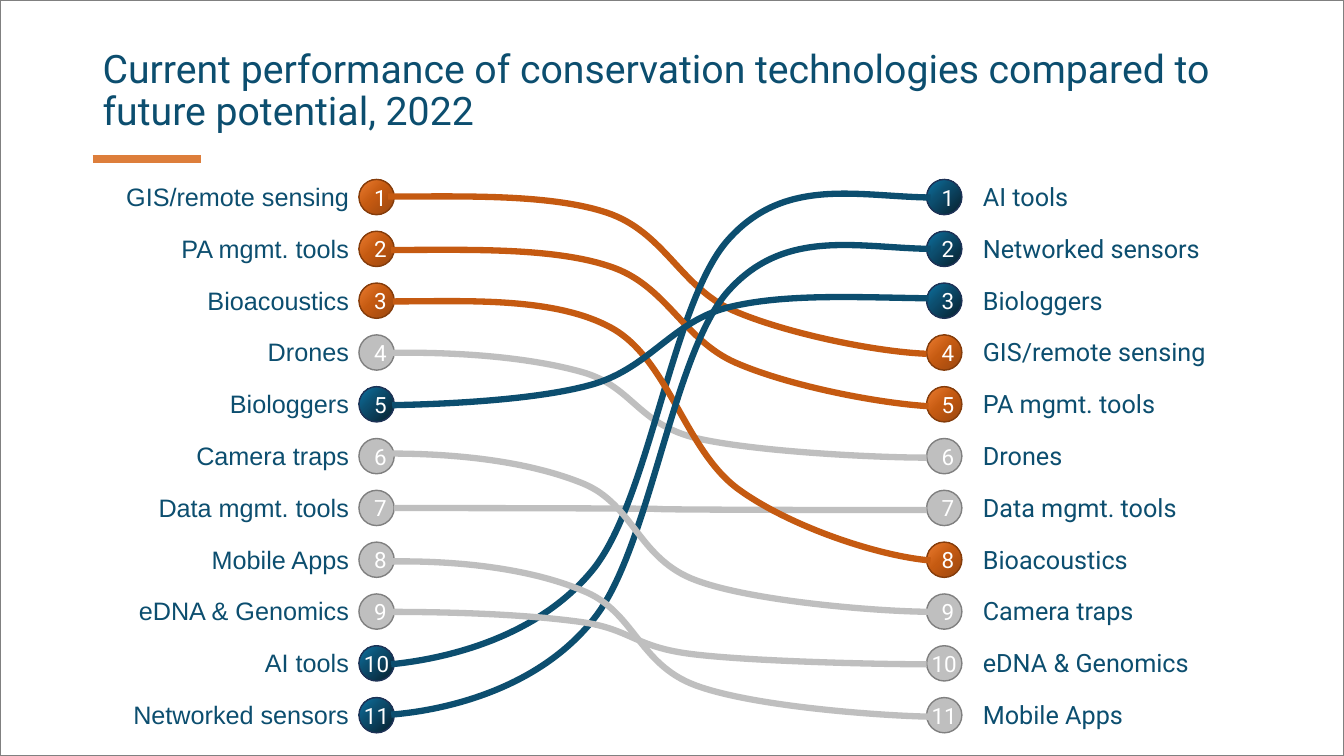
from lxml import etree
from pptx import Presentation
from pptx.dml.color import RGBColor
from pptx.enum import shapes, text
from pptx.oxml import ns, parse_xml
from pptx.util import Inches, Pt

NAVY = RGBColor(0x0C, 0x4E, 0x6F)
RUST = RGBColor(0xC5, 0x5A, 0x11)
SILVER = RGBColor(0xBF, 0xBF, 0xBF)
GREY = RGBColor(0x80, 0x80, 0x80)
ACCENT = RGBColor(0xDD, 0x7E, 0x3B)
WHITE = RGBColor(0xFF, 0xFF, 0xFF)
# Badge outline, and gradient stops (percent, colour) where the badge is shaded
BADGES = {
    NAVY: (RGBColor(0x1E, 0x32, 0x56), [(0, "0C74A3"), (40, "0C4E6F"), (100, "071F2C")]),
    RUST: (RGBColor(0x84, 0x3C, 0x0B), [(0, "ED7D31"), (46, "C55A11"), (100, "99460F")]),
    SILVER: (GREY, None),
}

TITLE = "Current performance of conservation technologies compared to future potential, 2022"
CURRENT = ["GIS/remote sensing", "PA mgmt. tools", "Bioacoustics", "Drones", "Biologgers",
           "Camera traps", "Data mgmt. tools", "Mobile Apps", "eDNA & Genomics",
           "AI tools", "Networked sensors"]
FUTURE = ["AI tools", "Networked sensors", "Biologgers", "GIS/remote sensing",
          "PA mgmt. tools", "Drones", "Data mgmt. tools", "Bioacoustics",
          "Camera traps", "eDNA & Genomics", "Mobile Apps"]
RISING = {"AI tools", "Networked sensors", "Biologgers"}
FALLING = {"GIS/remote sensing", "PA mgmt. tools", "Bioacoustics"}

# Bezier points, back to front: a start, then two handles and an end per segment
CURVES = {
    "Drones": [(3.87, 3.5), (4.59, 3.49), (5.27, 3.55), (5.77, 3.69), (6.27, 3.83),
               (6.31, 4.19), (6.88, 4.34), (7.45, 4.48), (8.69, 4.54), (9.19, 4.54)],
    "GIS/remote sensing": [
        (3.85, 1.95), (4.57, 1.95), (5.45, 1.92), (6.02, 2.11), (6.59, 2.3),
        (6.75, 2.85), (7.27, 3.08), (7.8, 3.31), (8.69, 3.49), (9.19, 3.51)],
    "AI tools": [(9.23, 1.96), (8.51, 1.95), (7.79, 1.75), (7.23, 2.37), (6.67, 2.98),
                 (6.45, 4.93), (5.89, 5.64), (5.33, 6.34), (4.39, 6.54), (3.88, 6.59)],
    "PA mgmt. tools": [
        (3.88, 2.48), (4.6, 2.48), (5.47, 2.45), (6.04, 2.64), (6.61, 2.82),
        (6.77, 3.37), (7.3, 3.6), (7.83, 3.83), (8.71, 4), (9.21, 4.03)],
    "Bioacoustics": [
        (3.9, 2.99), (4.61, 2.99), (5.49, 2.94), (6.06, 3.25), (6.63, 3.56),
        (6.79, 4.46), (7.32, 4.85), (7.84, 5.23), (8.73, 5.52), (9.23, 5.56)],
    "Networked sensors": [
        (9.23, 2.47), (8.51, 2.46), (7.79, 2.26), (7.23, 2.88), (6.67, 3.49),
        (6.45, 5.44), (5.89, 6.14), (5.33, 6.85), (4.39, 7.05), (3.88, 7.09)],
    "Biologgers": [
        (9.21, 2.96), (8.5, 2.95), (7.78, 2.91), (7.22, 3.05), (6.67, 3.19),
        (6.45, 3.64), (5.89, 3.81), (5.34, 3.97), (4.4, 4.01), (3.89, 4.02)],
    "Camera traps": [
        (3.87, 4.5), (4.59, 4.5), (5.28, 4.59), (5.79, 4.8), (6.29, 5.01),
        (6.33, 5.55), (6.91, 5.76), (7.48, 5.97), (8.74, 6.07), (9.25, 6.07)],
    "Mobile Apps": [
        (3.87, 5.57), (4.59, 5.56), (5.28, 5.65), (5.78, 5.86), (6.29, 6.06),
        (6.33, 6.59), (6.9, 6.8), (7.47, 7.01), (8.72, 7.1), (9.22, 7.11)],
    "eDNA & Genomics": [
        (3.85, 6.07), (4.57, 6.07), (5.25, 6.1), (5.76, 6.17), (6.26, 6.24),
        (6.29, 6.42), (6.87, 6.49), (7.44, 6.56), (8.68, 6.59), (9.19, 6.59)],
}

WIDTH, HEIGHT = 13.33, 7.5
FIRST_TOP, LAST_TOP, BADGE = 1.78, 6.92, 0.35
PITCH = (LAST_TOP - FIRST_TOP) / (len(CURRENT) - 1)
LABEL_W, LABEL_H, LABEL_RISE = 3.06, 0.4, 0.03
# Names, badge left, label left, label alignment, label font
COLUMNS = [(CURRENT, 3.56, 0.5, text.PP_ALIGN.RIGHT, "Arial"),
           (FUTURE, 9.19, 9.65, text.PP_ALIGN.LEFT, "Roboto")]


def colour_of(name):
    return NAVY if name in RISING else RUST if name in FALLING else SILVER


def write(shape, words, size, font, colour, align):
    tf = shape.text_frame
    tf.text = words
    p = tf.paragraphs[0]
    p.alignment = align
    f = p.runs[0].font
    f.size, f.name, f.color.rgb = Pt(size), font, colour
    return tf


def add_text(s, box, *style):
    tf = write(s.shapes.add_textbox(*map(Inches, box)), *style)
    tf.word_wrap = True
    return tf


def shade(shape, stops):
    """Swap the solid fill for a gradient that spreads from the top left corner."""
    gs = "".join(f'<a:gs pos="{pos * 1000}"><a:srgbClr val="{c}"/></a:gs>' for pos, c in stops)
    grad = parse_xml(f'<a:gradFill {ns.nsdecls("a")} rotWithShape="1"><a:gsLst>{gs}</a:gsLst>'
                     '<a:path path="circle"><a:fillToRect r="100000" b="100000"/></a:path>'
                     '</a:gradFill>')
    spPr = shape._element.spPr
    spPr.replace(spPr.find(ns.qn("a:solidFill")), grad)


def add_badge(s, left, top, rank, colour):
    sp = s.shapes.add_shape(shapes.MSO_SHAPE.OVAL, *map(Inches, (left, top, BADGE, BADGE)))
    sp.shadow.inherit = False
    outline, stops = BADGES[colour]
    sp.fill.solid()
    sp.fill.fore_color.rgb = colour
    if stops:
        shade(sp, stops)
    sp.line.color.rgb, sp.line.width = outline, Pt(1)
    tf = write(sp, str(rank), 16, "Roboto", WHITE, text.PP_ALIGN.CENTER)
    tf.vertical_anchor = text.MSO_ANCHOR.MIDDLE
    if rank > 9:
        tf.word_wrap = False


def add_line(s, kind, ends, colour, width):
    line = s.shapes.add_connector(kind, *map(Inches, ends))
    line.line.color.rgb, line.line.width = colour, Pt(width)
    etree.SubElement(line._element.spPr, ns.qn("a:effectLst"))


def add_curve(s, points, colour):
    """Draw a freeform whose segments are Bezier curves."""
    start, *rest = [(Inches(x), Inches(y)) for x, y in points]
    builder = s.shapes.build_freeform(*start)
    builder.add_line_segments(rest, close=False)
    sp = builder.convert_to_shape()
    outline = sp._element.spPr.find(".//" + ns.qn("a:path"))
    straights = outline.findall(ns.qn("a:lnTo"))
    for i in range(0, len(straights), 3):
        bezier = etree.SubElement(outline, ns.qn("a:cubicBezTo"))
        for straight in straights[i:i + 3]:
            bezier.append(straight[0])
            outline.remove(straight)
    sp.shadow.inherit = False
    sp.fill.background()
    sp.line.color.rgb, sp.line.width = colour, Pt(4.5)


def main():
    prs = Presentation()
    prs.slide_width, prs.slide_height = Inches(WIDTH), Inches(HEIGHT)
    s = prs.slides.add_slide(prs.slide_layouts[6])

    add_line(s, shapes.MSO_CONNECTOR.STRAIGHT, (0.92, 1.58, 1.99, 1.58), ACCENT, 6)
    tf = add_text(s, (0.92, 0.4, 11.57, 1.02), TITLE, 28, "Roboto", NAVY, text.PP_ALIGN.LEFT)
    tf.vertical_anchor = text.MSO_ANCHOR.MIDDLE
    tf.paragraphs[0].line_spacing = 0.9

    for names, badge_left, label_left, align, font in COLUMNS:
        for i, name in enumerate(names):
            top = FIRST_TOP + i * PITCH
            add_badge(s, badge_left, top, i + 1, colour_of(name))
            add_text(s, (label_left, top - LABEL_RISE, LABEL_W, LABEL_H),
                     name, 18, font, NAVY, align)

    add_line(s, shapes.MSO_CONNECTOR.CURVE, (3.91, 5.04, 9.19, 5.06), SILVER, 4.5)
    for name, points in CURVES.items():
        add_curve(s, points, colour_of(name))

    frame = s.shapes.add_shape(shapes.MSO_SHAPE.RECTANGLE, 0, 0, prs.slide_width, prs.slide_height)
    frame.shadow.inherit = False
    frame.fill.background()
    frame.line.color.rgb, frame.line.width = GREY, Pt(1.5)
    prs.save("out.pptx")


if __name__ == "__main__":
    main()
